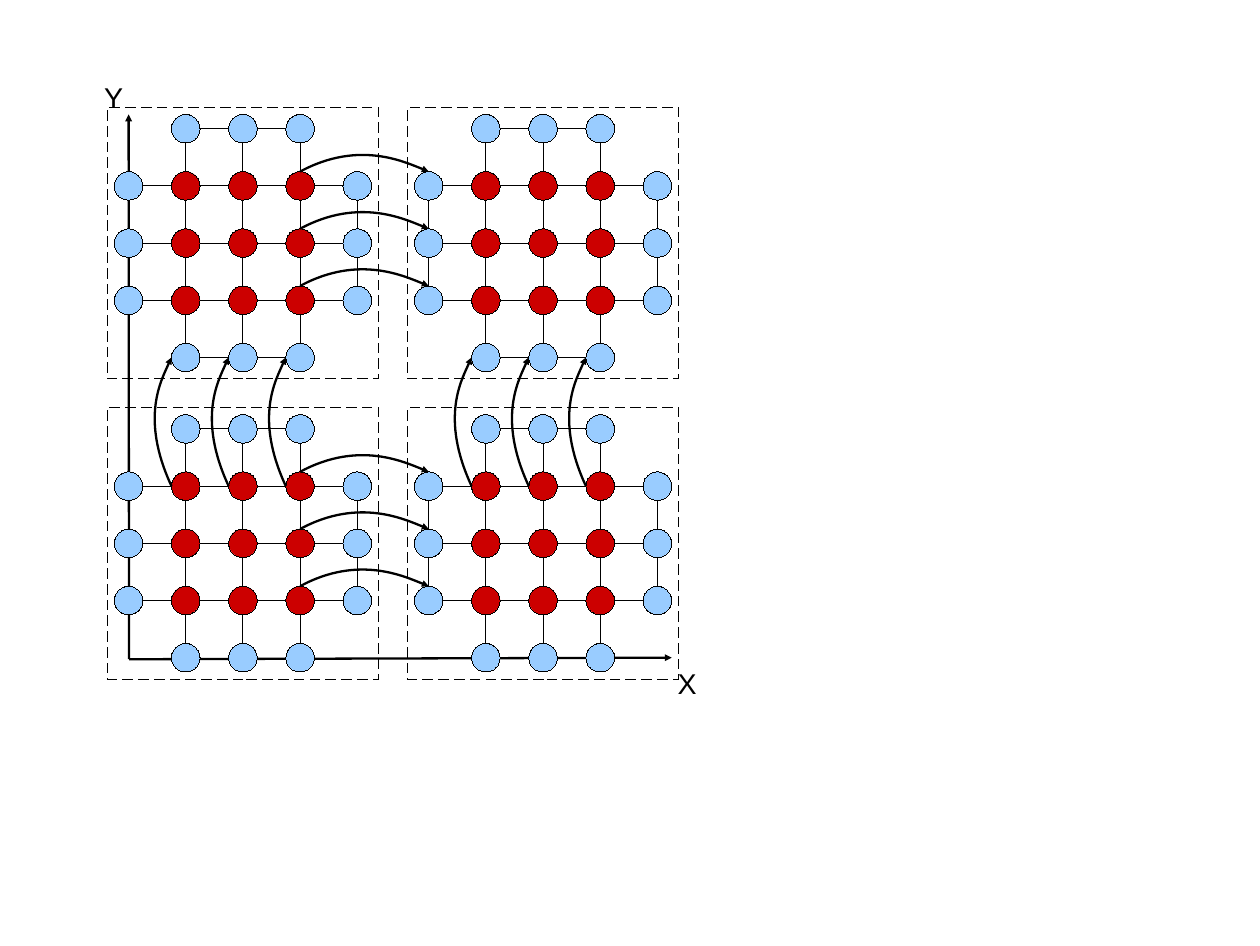
from itertools import product

from lxml import etree
from pptx import Presentation
from pptx import util as u
from pptx.dml.color import RGBColor
from pptx.enum import shapes, text
from pptx.oxml import ns

Pt = u.Pt
COLORS = {"line": "000000", "halo": "99CCFF", "inner": "CC0000"}
PITCH, RADIUS = 72, 18
BLOCK_XY = (162, 540)  # first lattice column or row of each block
MARGIN = 27
AXIS_WIDTH = 2.89
BOW = 40.5  # control point offset; the curve itself rises 4/9 of it


def style_line(sp, width=0, arrow=False, dashed=False):
    sp.line.color.rgb = RGBColor.from_string(COLORS["line"])
    spPr = sp._element.spPr
    ln = spPr.find(ns.qn("a:ln"))
    ln.set("w", str(int(Pt(width))))
    if dashed:
        dash = etree.SubElement(ln, ns.qn("a:custDash"))
        etree.SubElement(dash, ns.qn("a:ds"), d="1600000", sp="1000000")
    if arrow:
        etree.SubElement(ln, ns.qn("a:tailEnd"), type="triangle")
    if spPr.find(ns.qn("a:effectLst")) is None:
        etree.SubElement(spPr, ns.qn("a:effectLst"))


def add_line(x1, y1, x2, y2, **style):
    line = s.shapes.add_connector(
        shapes.MSO_CONNECTOR.STRAIGHT, Pt(x1), Pt(y1), Pt(x2), Pt(y2))
    style_line(line, **style)


prs = Presentation()
prs.slide_width, prs.slide_height = Pt(1587), Pt(1191)
s = prs.slides.add_slide(prs.slide_layouts[6])

# Axes
add_line(162.5, 830, 162, 144, width=AXIS_WIDTH, arrow=True)
add_line(162.5, 830, 846, 828, width=AXIS_WIDTH, arrow=True)

# Lattice blocks; the axes stand in for the outermost left and bottom lines
for left, top in product(BLOCK_XY, BLOCK_XY):
    for i in range(5):
        first, last = (0, 4) if 0 < i < 4 else (1, 3)
        x, y = left + i * PITCH, top + i * PITCH
        if i > 0 or left > BLOCK_XY[0]:
            add_line(x, top + first * PITCH, x, top + last * PITCH)
        if i < 4 or top == BLOCK_XY[0]:
            add_line(left + first * PITCH, y, left + last * PITCH, y)

    for col, row in product(range(5), range(5)):
        inner = 0 < col < 4 and 0 < row < 4
        if col in (0, 4) and row in (0, 4):
            continue
        node = s.shapes.add_shape(
            shapes.MSO_SHAPE.OVAL,
            Pt(left + col * PITCH - RADIUS), Pt(top + row * PITCH - RADIUS),
            Pt(2 * RADIUS), Pt(2 * RADIUS))
        node.shadow.inherit = False
        node.fill.solid()
        node.fill.fore_color.rgb = RGBColor.from_string(
            COLORS["inner" if inner else "halo"])
        style_line(node)

# Axis names
for name, x, y in (("Y", 124, 96.5), ("X", 846.5, 834.5)):
    tb = s.shapes.add_textbox(Pt(x), Pt(y), Pt(38), Pt(47.5))
    tf = tb.text_frame
    tf.word_wrap = False
    tf.auto_size = text.MSO_AUTO_SIZE.SHAPE_TO_FIT_TEXT
    tf.text = name
    font = tf.paragraphs[0].runs[0].font
    font.name, font.size = "Arial", Pt(36)
    font.color.rgb = RGBColor.from_string(COLORS["line"])

# Block borders
for left, top in product(BLOCK_XY, BLOCK_XY):
    border = s.shapes.add_shape(
        shapes.MSO_SHAPE.RECTANGLE, Pt(left - MARGIN), Pt(top - MARGIN),
        Pt(4 * PITCH + 2 * MARGIN), Pt(4 * PITCH + 2 * MARGIN))
    border.shadow.inherit = False
    border.fill.background()
    style_line(border, dashed=True)

# Halo exchange: start, control point and end of each curve
exchanges = []
for top, row in product(BLOCK_XY, (1, 2, 3)):
    x, y = BLOCK_XY[0] + 3 * PITCH, top + row * PITCH - RADIUS
    exchanges.append(((x, y), (x + 75, y - BOW), (x + 162, y)))
for left, col in product(BLOCK_XY, (1, 2, 3)):
    x, y = left + col * PITCH - RADIUS, BLOCK_XY[1] + PITCH
    exchanges.append(((x, y), (x - BOW, y - 87), (x, y - 162)))

for start, control, end in exchanges:
    apex = [(8 * a + 12 * b + 7 * c) / 27
            for a, b, c in zip(start, control, end)]
    builder = s.shapes.build_freeform(Pt(start[0]), Pt(start[1]))
    builder.add_line_segments(
        [(Pt(x), Pt(y)) for x, y in (apex, end)], close=False)
    curve = builder.convert_to_shape()
    curve.shadow.inherit = False
    curve.fill.background()
    style_line(curve, width=AXIS_WIDTH, arrow=True)
    outline = curve._element.spPr.find(".//" + ns.qn("a:path"))
    for segment in outline.findall(ns.qn("a:lnTo")):
        outline.remove(segment)
    bezier = etree.SubElement(outline, ns.qn("a:cubicBezTo"))
    for x, y in (control, end, end):
        etree.SubElement(bezier, ns.qn("a:pt"),
                         x=str(int(Pt(x) - curve.left)),
                         y=str(int(Pt(y) - curve.top)))

prs.save("out.pptx")
